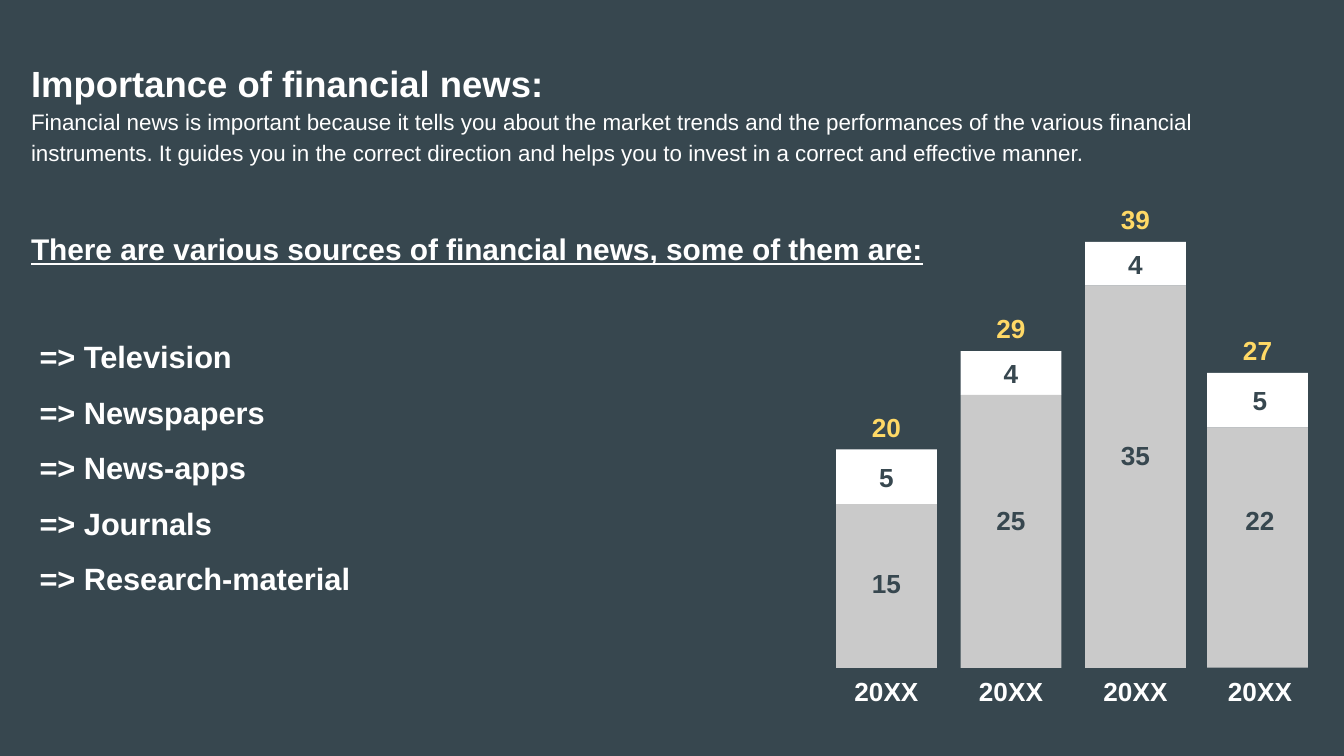
from pptx import Presentation
from pptx.dml.color import RGBColor
from pptx.enum.shapes import MSO_SHAPE
from pptx.enum.text import MSO_ANCHOR, MSO_AUTO_SIZE, PP_ALIGN
from pptx.util import Pt

RECTANGLE = MSO_SHAPE.RECTANGLE
TOP, MIDDLE = MSO_ANCHOR.TOP, MSO_ANCHOR.MIDDLE
LEFT, CENTER = PP_ALIGN.LEFT, PP_ALIGN.CENTER
NO_AUTOFIT = MSO_AUTO_SIZE.NONE
TITLE_ONLY = 5

COLORS = {"slate": "37474F", "white": "FFFFFF", "gray": "CACACA", "yellow": "FFD966"}

BASELINE = 357.8
POINTS_PER_UNIT = 5.85
BAR_WIDTH = 54
LABEL_HEIGHT = 24.5
FIRST_LABEL_LEFT = 447.9
COLUMN_PITCH = 66.7

# Category, lower value, upper value, bar left, top of the lower value's label
COLUMNS = [
    ("20XX", 15, 5, 447.9, 300.3),
    ("20XX", 25, 4, 514.6, 266.4),
    ("20XX", 35, 4, 581.3, 231.4),
    ("20XX", 22, 5, 646.7, 266.4),
]

INTRODUCTION = (
    "Financial news is important because it tells you about the market trends and "
    "the performances of the various financial instruments. It guides you in the "
    "correct direction and helps you to invest in a correct and effective manner."
)
# Source and its left indent
SOURCES = [
    ("Television", 4.6),
    ("Newspapers", 4.6),
    ("News-apps", 4.6),
    ("Journals", 0),
    ("Research-material", 0),
]


def color(name):
    return RGBColor.from_string(COLORS[name])


def write(paragraph, text, size=14, color_name="white", bold=True, underline=False,
          align=LEFT, line_spacing=1.0, space_before=0, indent=0):
    paragraph.alignment = align
    paragraph.line_spacing = line_spacing
    paragraph.space_before = Pt(space_before)
    paragraph.space_after = Pt(0)
    if indent:
        properties = paragraph._p.get_or_add_pPr()
        properties.set("marL", str(Pt(indent)))
        properties.set("indent", "0")
    run = paragraph.add_run()
    run.text = text
    run.font.name = "Arial"
    run.font.size = Pt(size)
    run.font.bold = bold
    run.font.underline = underline
    run.font.color.rgb = color(color_name)


def prepare_frame(shape, anchor):
    frame = shape.text_frame
    frame.word_wrap = True
    frame.auto_size = NO_AUTOFIT
    frame.vertical_anchor = anchor
    frame.margin_left = frame.margin_right = Pt(7.2)
    frame.margin_top = frame.margin_bottom = Pt(7.2)
    return frame


def fill_title(slide):
    title = slide.shapes.title
    title.left, title.top, title.width, title.height = Pt(9.4), Pt(13.7), Pt(671), Pt(377.3)
    frame = prepare_frame(title, TOP)
    write(frame.paragraphs[0], "Importance of financial news:", size=19.5, line_spacing=1.5)
    write(frame.add_paragraph(), INTRODUCTION, size=12, bold=False, line_spacing=1.15)
    write(frame.add_paragraph(),
          "There are various sources of financial news, some of them are:",
          size=16, underline=True, line_spacing=1.15, space_before=31.7)
    for index, (source, indent) in enumerate(SOURCES):
        write(frame.add_paragraph(), f"=> {source}", size=16.5, line_spacing=1.5,
              space_before=0 if index else 28.4, indent=indent)


def add_label(slide, text, left, top, color_name):
    box = slide.shapes.add_textbox(Pt(left), Pt(top), Pt(BAR_WIDTH), Pt(LABEL_HEIGHT))
    frame = prepare_frame(box, MIDDLE)
    write(frame.paragraphs[0], str(text), color_name=color_name, align=CENTER)


def add_bar(slide, left, top, height, color_name):
    bar = slide.shapes.add_shape(RECTANGLE, Pt(left), Pt(top), Pt(BAR_WIDTH), Pt(height))
    bar.shadow.inherit = False
    bar.fill.solid()
    bar.fill.fore_color.rgb = color(color_name)
    bar.line.fill.background()


def add_column(slide, label_left, category, lower, upper, bar_left, lower_label_top):
    """Stack two bars on the baseline and label the category, values and total."""
    lower_height = lower * POINTS_PER_UNIT
    upper_height = upper * POINTS_PER_UNIT
    lower_top = BASELINE - lower_height
    upper_top = lower_top - upper_height
    upper_label_top = upper_top + (upper_height - LABEL_HEIGHT) / 2

    add_bar(slide, bar_left, upper_top, upper_height, "white")
    add_bar(slide, bar_left, lower_top, lower_height, "gray")
    add_label(slide, category, label_left, BASELINE, "white")
    add_label(slide, lower + upper, bar_left, upper_top - LABEL_HEIGHT, "yellow")
    add_label(slide, upper, label_left, upper_label_top, "slate")
    add_label(slide, lower, label_left, lower_label_top, "slate")


def main():
    presentation = Presentation()
    presentation.slide_width, presentation.slide_height = Pt(720), Pt(405)
    slide = presentation.slides.add_slide(presentation.slide_layouts[TITLE_ONLY])
    slide.background.fill.solid()
    slide.background.fill.fore_color.rgb = color("slate")

    fill_title(slide)
    for index, column in enumerate(COLUMNS):
        add_column(slide, FIRST_LABEL_LEFT + index * COLUMN_PITCH, *column)
    presentation.save("out.pptx")


if __name__ == "__main__":
    main()
